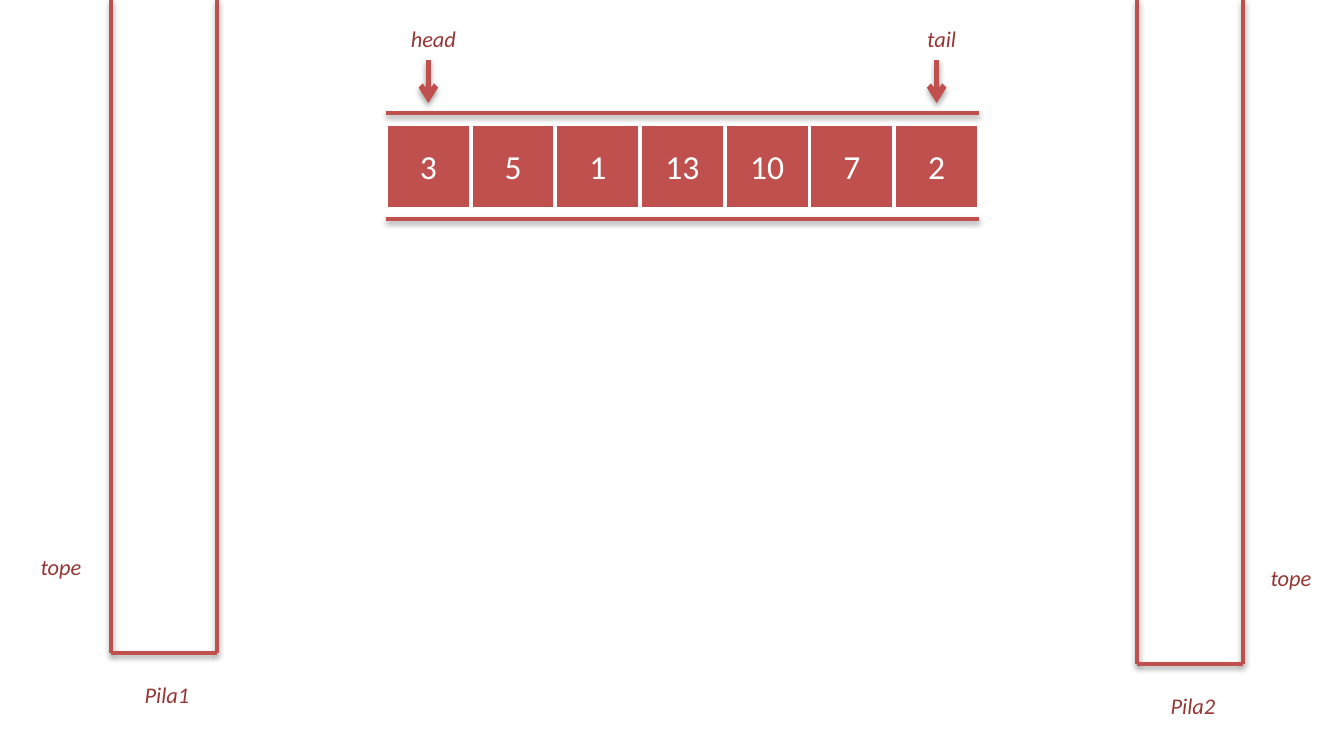
"""Builds a slide with a queue of numbers between two empty stacks."""
from lxml import etree
from pptx import Presentation
from pptx.dml.color import RGBColor
from pptx.enum.shapes import MSO_CONNECTOR, MSO_SHAPE
from pptx.enum.text import MSO_ANCHOR, MSO_AUTO_SIZE, PP_ALIGN
from pptx.oxml.ns import qn
from pptx.util import Pt

RECT = MSO_SHAPE.RECTANGLE
STRAIGHT = MSO_CONNECTOR.STRAIGHT
CENTER = PP_ALIGN.CENTER
MIDDLE = MSO_ANCHOR.MIDDLE
GROW = MSO_AUTO_SIZE.SHAPE_TO_FIT_TEXT

COLORS = {"red": "C0504D", "dark": "953735", "white": "FFFFFF", "shadow": "000000"}
FONT = "Calibri"
SCALE = 914400 / 134.4

QUEUE = ["3", "5", "1", "13", "10", "7", "2"]
QUEUE_LEFT, QUEUE_TOP, QUEUE_W = 386, 124, 593
CELL = QUEUE_W / len(QUEUE)
RAILS = [113, 219]
POINTERS = [("head", 0), ("tail", len(QUEUE) - 1)]
POINTER_LABEL_TOP, ARROW_TOP, ARROW_BOTTOM = 19, 60, 103
STACKS = [
    {"name": "Pila1", "left": 111, "bottom": 653, "top_label": (16, 90)},
    {"name": "Pila2", "left": 1137, "bottom": 664, "top_label": (1254, 74)},
]
STACK_W = 106
LABEL_H, NAME_W, POINTER_W = 40, 90, 74


def px(n):
    return round(n * SCALE)


def rgb(name):
    return RGBColor.from_string(COLORS[name])


def write(shape, text, size, color, italic=False):
    p = shape.text_frame.paragraphs[0]
    p.alignment = CENTER
    r = p.add_run()
    r.text = text
    r.font.name = FONT
    r.font.size = Pt(size)
    r.font.italic = italic
    r.font.color.rgb = rgb(color)


def add_label(shapes, text, left, top, width):
    box = shapes.add_textbox(px(left), px(top), px(width), px(LABEL_H))
    tf = box.text_frame
    tf.word_wrap = True
    tf.auto_size = GROW
    tf.margin_left = tf.margin_right = 0
    write(box, text, 12, "dark", italic=True)


def add_shadow(line, alpha, dist):
    effects = etree.SubElement(line._element.spPr, qn("a:effectLst"))
    shadow = etree.SubElement(effects, qn("a:outerShdw"), blurRad=str(Pt(3.1)),
                              dist=str(Pt(dist)), dir="5400000", rotWithShape="0")
    color = etree.SubElement(shadow, qn("a:srgbClr"), val=COLORS["shadow"])
    etree.SubElement(color, qn("a:alpha"), val=str(alpha * 1000))


def add_line(shapes, x1, y1, x2, y2, arrow=False):
    line = shapes.add_connector(STRAIGHT, px(x1), px(y1), px(x2), px(y2))
    line.line.color.rgb = rgb("red")
    line.line.width = Pt(3 if arrow else 2)
    if arrow:
        etree.SubElement(line.line._get_or_add_ln(), qn("a:tailEnd"), type="arrow")
        add_shadow(line, 35, 1.8)
    else:
        add_shadow(line, 38, 1.6)


def add_queue(shapes):
    for i, value in enumerate(QUEUE):
        sp = shapes.add_shape(RECT, px(QUEUE_LEFT + i * CELL), px(QUEUE_TOP), px(CELL), px(CELL))
        sp.shadow.inherit = False
        sp.fill.solid()
        sp.fill.fore_color.rgb = rgb("red")
        sp.line.color.rgb = rgb("white")
        sp.line.width = Pt(2)
        sp.text_frame.vertical_anchor = MIDDLE
        write(sp, value, 18, "white")
    for name, i in POINTERS:
        x = QUEUE_LEFT + (i + 0.5) * CELL
        add_line(shapes, x, ARROW_TOP, x, ARROW_BOTTOM, arrow=True)
        add_label(shapes, name, x + 5 - POINTER_W / 2, POINTER_LABEL_TOP, POINTER_W)
    for y in RAILS:
        add_line(shapes, QUEUE_LEFT, y, QUEUE_LEFT + QUEUE_W, y)


def add_stack(shapes, stack):
    left, bottom = stack["left"], stack["bottom"]
    right = left + STACK_W
    walls = shapes.add_group_shape().shapes
    for x in (left, right):
        add_line(walls, x, 0, x, bottom)
    add_line(walls, left, bottom, right, bottom)
    label_left, label_w = stack["top_label"]
    add_label(shapes, "tope", label_left, bottom - 106, label_w)
    add_label(shapes, stack["name"], left + 11, bottom + 22, NAME_W)


def main():
    prs = Presentation()
    prs.slide_width, prs.slide_height = px(1344), px(756)
    s = prs.slides.add_slide(prs.slide_layouts[6])
    add_queue(s.shapes)
    for stack in STACKS:
        add_stack(s.shapes, stack)
    prs.save("out.pptx")


if __name__ == "__main__":
    main()
